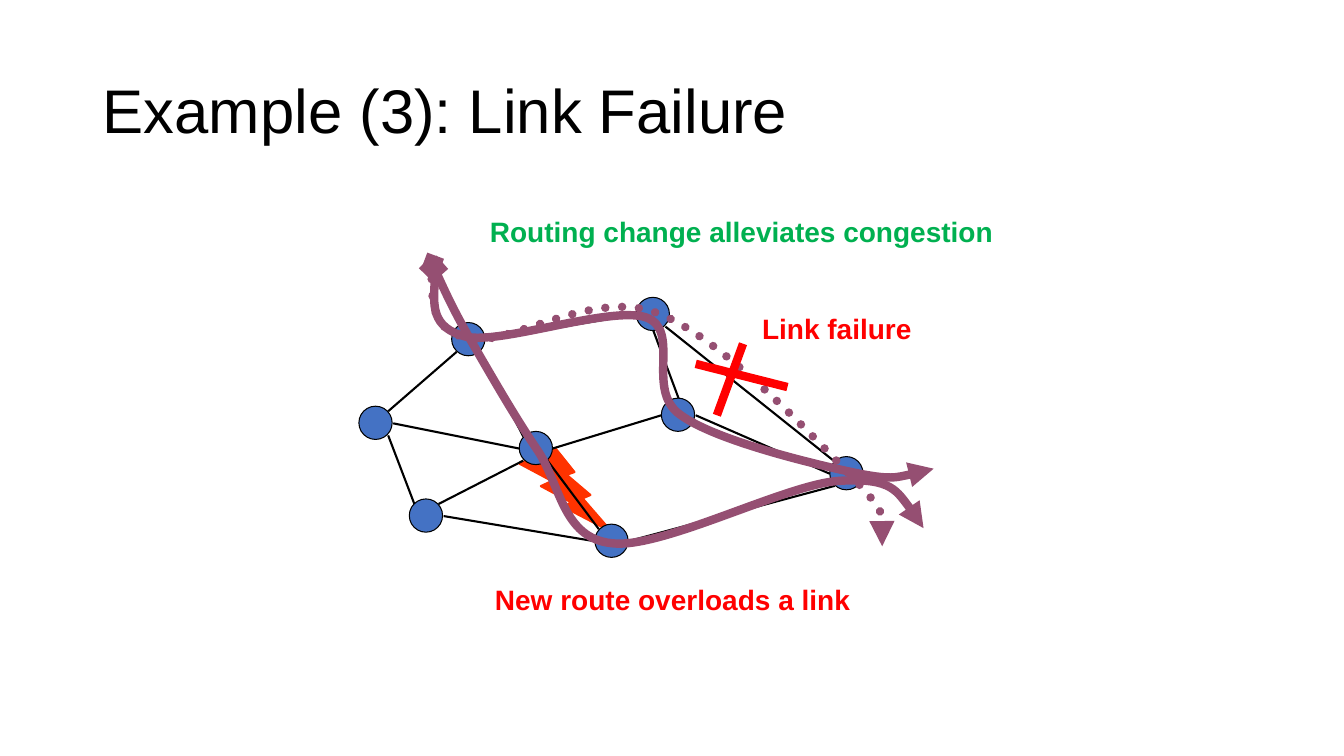
from pptx import Presentation
from pptx.dml.color import RGBColor
from pptx.enum.dml import MSO_LINE
from pptx.enum.shapes import MSO_CONNECTOR, MSO_SHAPE
from pptx.enum.text import MSO_ANCHOR, PP_ALIGN
from pptx.oxml.ns import qn
from pptx.util import Inches, Pt
from lxml import etree

STRAIGHT = MSO_CONNECTOR.STRAIGHT
OVAL, BOLT = MSO_SHAPE.OVAL, MSO_SHAPE.LIGHTNING_BOLT
DOTTED = MSO_LINE.ROUND_DOT
LEFT, MIDDLE = PP_ALIGN.LEFT, MSO_ANCHOR.MIDDLE

FONT = "Arial"
COLORS = {
    "black": "000000",
    "node": "4472C4",
    "route": "954F72",
    "overload": "FF3300",
    "failure": "FF0000",
    "relief": "00B050",
}
NODE_SIZE = 0.33

# Left and top of each router
NODES = [
    (4.48, 3.2), (3.56, 4.03), (4.06, 4.95), (5.9, 5.2),
    (5.15, 4.28), (6.56, 3.95), (6.31, 2.95), (8.23, 4.53),
]
# Start and end of each link
LINKS = [
    (3.9, 4.2, 5.15, 4.45), (5.19, 4.57, 4.35, 5),
    (5.43, 4.57, 5.94, 5.25), (4.76, 3.49, 5.19, 4.33),
    (5.48, 4.45, 6.56, 4.12), (6.48, 3.28, 6.73, 3.95),
    (4.81, 3.37, 6.31, 3.12), (6.9, 4.12, 8.23, 4.7),
    (6.23, 5.37, 8.28, 4.82), (6.6, 3.24, 8.28, 4.58),
    (4.4, 5.12, 5.9, 5.37), (3.85, 4.32, 4.11, 5),
    (3.85, 4.08, 4.53, 3.49),
]
FAILURE_CROSS = [(7.37, 3.41, 7.11, 4.12), (6.9, 3.61, 7.81, 3.84)]

# Routes: a start point, then three Bezier points for each segment
FAILED_ROUTE = [
    (4.28, 2.66),
    (4.28, 2.98), (4.3, 3.29), (4.66, 3.36),
    (5.03, 3.44), (5.87, 2.87), (6.5, 3.1),
    (7.13, 3.32), (8.05, 4.32), (8.43, 4.71),
    (8.8, 5.1), (8.78, 5.26), (8.75, 5.42),
]
OVERLOADING_ROUTE = [
    (4.29, 2.62),
    (4.39, 2.84), (4.49, 3.06), (4.66, 3.36),
    (4.84, 3.67), (5.09, 4.11), (5.32, 4.45),
    (5.56, 4.79), (5.57, 5.34), (6.07, 5.39),
    (6.57, 5.45), (7.82, 4.79), (8.34, 4.77),
    (8.85, 4.74), (9, 4.99), (9.16, 5.24),
]
RELIEF_ROUTE = [
    (4.32, 2.66),
    (4.3, 2.96), (4.27, 3.25), (4.62, 3.34),
    (4.97, 3.42), (6.06, 3.03), (6.41, 3.15),
    (6.76, 3.28), (6.4, 3.86), (6.74, 4.11),
    (7.07, 4.36), (8.01, 4.59), (8.43, 4.68),
    (8.85, 4.77), (9.05, 4.71), (9.26, 4.65),
]


def rgb(name):
    return RGBColor.from_string(COLORS[name])


def set_line(sp, color, width):
    sp.line.color.rgb = rgb(color)
    sp.line.width = Pt(width)


def format_text(tf, size, color, bold=False):
    font = tf.paragraphs[0].runs[0].font
    font.name, font.size, font.bold = FONT, Pt(size), bold
    font.color.rgb = rgb(color)


def add_title(slide, text):
    title = slide.shapes.title
    title.left, title.top = Inches(0.92), Inches(0.4)
    title.width, title.height = Inches(11.5), Inches(1.45)
    tf = title.text_frame
    tf.text = text
    tf.vertical_anchor = MIDDLE
    p = tf.paragraphs[0]
    p.alignment, p.line_spacing = LEFT, 0.9
    format_text(tf, 44, "black")


def add_filled(slide, kind, x, y, w, h, fill, line, width):
    sp = slide.shapes.add_shape(kind, Inches(x), Inches(y), Inches(w), Inches(h))
    sp.shadow.inherit = False
    sp.fill.solid()
    sp.fill.fore_color.rgb = rgb(fill)
    set_line(sp, line, width)


def add_line(slide, ends, color, width):
    line = slide.shapes.add_connector(STRAIGHT, *[Inches(v) for v in ends])
    set_line(line, color, width)
    etree.SubElement(line._element.spPr, qn("a:effectLst"))


def add_route(slide, points, dotted=False):
    start, *rest = [(Inches(x), Inches(y)) for x, y in points]
    builder = slide.shapes.build_freeform(*start)
    builder.add_line_segments(rest, close=False)
    sp = builder.convert_to_shape()
    sp.shadow.inherit = False
    sp.fill.background()
    set_line(sp, "route", 6)

    # Join every three straight segments into one Bezier curve
    segments = list(sp._element.iter(qn("a:lnTo")))
    outline = segments[0].getparent()
    for i in range(0, len(segments), 3):
        curve = etree.SubElement(outline, qn("a:cubicBezTo"))
        for segment in segments[i:i + 3]:
            curve.append(segment[0])
            outline.remove(segment)

    # Dots and line ends
    ln = sp.line._get_or_add_ln()
    if dotted:
        sp.line.dash_style = DOTTED
        ln.set("cap", "rnd")
    etree.SubElement(ln, qn("a:headEnd"), type="diamond")
    etree.SubElement(ln, qn("a:tailEnd"), type="triangle")


def add_label(slide, x, y, w, text, color):
    sp = slide.shapes.add_textbox(Inches(x), Inches(y), Inches(w), Inches(0.44))
    tf = sp.text_frame
    tf.word_wrap = False
    tf.text = text
    format_text(tf, 20, color, bold=True)


def main():
    prs = Presentation()
    prs.slide_width, prs.slide_height = Inches(13.33), Inches(7.5)
    slide = prs.slides.add_slide(prs.slide_layouts[5])
    add_title(slide, "Example (3): Link Failure")

    # Network
    add_filled(slide, BOLT, 5.15, 4.45, 0.92, 0.83, "overload", "overload", 1.5)
    for x, y in NODES:
        add_filled(slide, OVAL, x, y, NODE_SIZE, NODE_SIZE, "node", "black", 0.75)
    for ends in LINKS:
        add_line(slide, ends, "black", 1.5)

    # Failed link
    add_route(slide, FAILED_ROUTE, dotted=True)
    for ends in FAILURE_CROSS:
        add_line(slide, ends, "failure", 6)
    add_label(slide, 7.46, 3.04, 1.7, "Link failure", "failure")

    # New routes
    add_route(slide, OVERLOADING_ROUTE)
    add_label(slide, 4.81, 5.73, 3.75, "New route overloads a link", "failure")
    add_route(slide, RELIEF_ROUTE)
    add_label(slide, 4.76, 2.08, 5.41, "Routing change alleviates congestion", "relief")

    prs.save("out.pptx")


if __name__ == "__main__":
    main()
